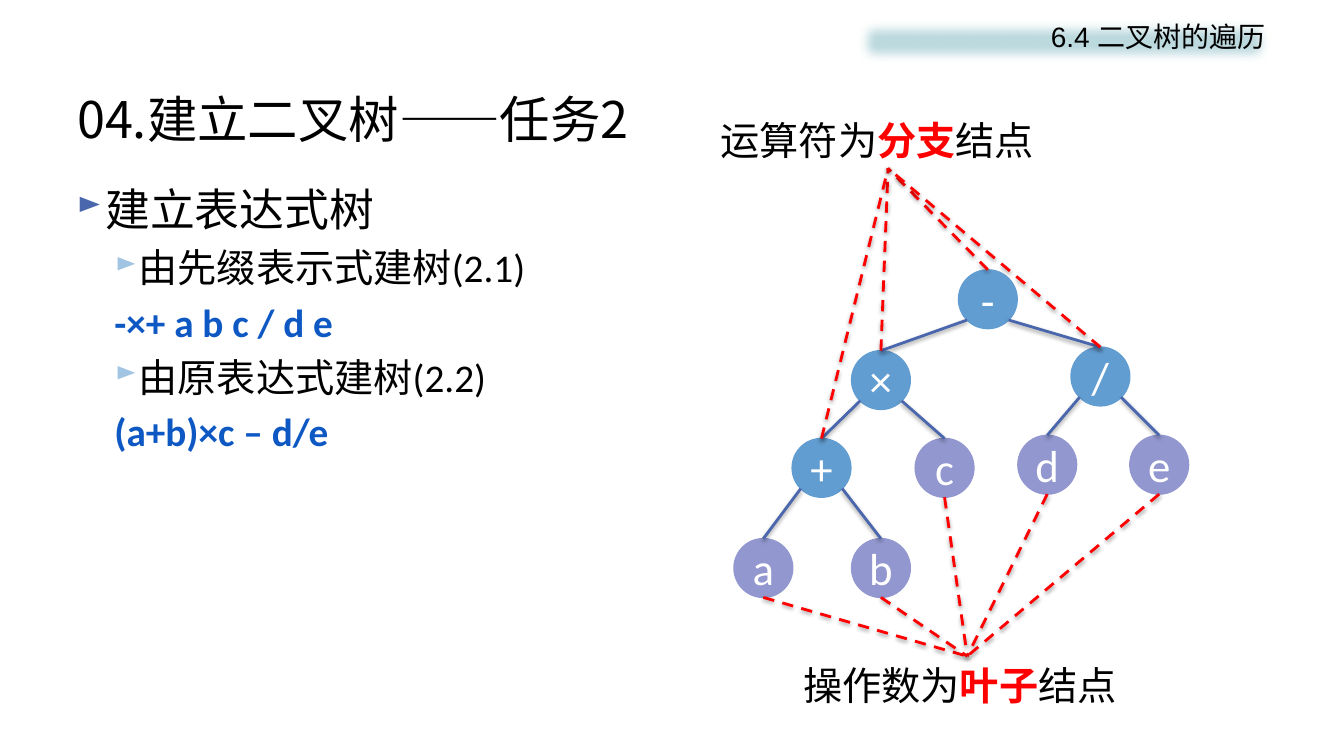
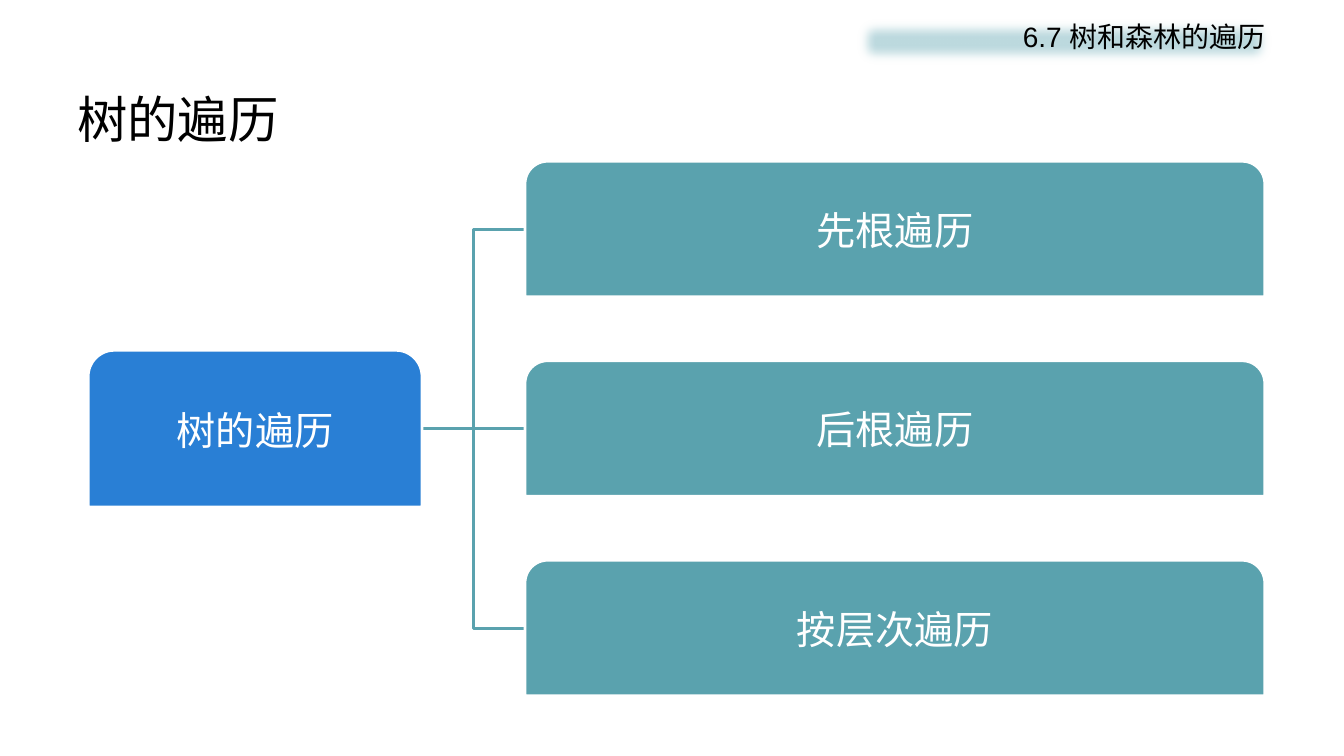
from dataclasses import dataclass
from math import sqrt

from pptx import Presentation
from pptx.dml.color import RGBColor
from pptx.enum.dml import MSO_LINE
from pptx.enum.shapes import MSO_CONNECTOR, MSO_SHAPE
from pptx.enum.text import MSO_ANCHOR, PP_ALIGN
from pptx.oxml.ns import qn
from pptx.util import Inches, Pt
from lxml import etree

STRAIGHT = MSO_CONNECTOR.STRAIGHT
OVAL, RECTANGLE = MSO_SHAPE.OVAL, MSO_SHAPE.RECTANGLE
ROUND_TOP = MSO_SHAPE.ROUND_2_SAME_RECTANGLE
TOP, MIDDLE = MSO_ANCHOR.TOP, MSO_ANCHOR.MIDDLE
LEFT, CENTER, RIGHT = PP_ALIGN.LEFT, PP_ALIGN.CENTER, PP_ALIGN.RIGHT
SITE_TOP, SITE_BOTTOM = 0, 2

# Slide grid
WIDTH, HEIGHT = Inches(13.33), Inches(7.5)
COLUMNS, ROWS = 64, 36


@dataclass(frozen=True)
class Theme:
    black: str = "000000"
    white: str = "FFFFFF"
    red: str = "FF0000"
    formula: str = "0E58C4"
    band: str = "BDDADF"
    operator: str = "629DD1"
    operand: str = "9297CF"
    edge: str = "4A66AC"
    sub_bullet: str = "A1C4E3"
    root: str = "297FD5"
    branch: str = "5AA2AE"
    title_font: str = "Noto Sans CJK SC"
    body_font: str = "Calibri"
    band_font: str = "Arial"
    title_size: int = 36
    large_size: int = 32
    text_size: int = 28
    band_size: int = 20
    line_width: int = 2


THEME = Theme()


@dataclass(frozen=True)
class Area:
    """A rectangle in grid columns and rows."""
    left: float
    top: float
    width: float
    height: float

    @property
    def middle(self) -> float:
        return self.top + self.height / 2

    def emu(self) -> tuple:
        return (across(self.left), down(self.top),
                across(self.width), down(self.height))


@dataclass(frozen=True)
class Span:
    text: str
    color: str = THEME.black
    bold: bool = False


@dataclass(frozen=True)
class Item:
    span: Span
    size: int
    margin: float
    hanging: float = 0
    bullet: str = ""


@dataclass(frozen=True)
class Node:
    column: float
    row: float
    parent: str = ""
    side: int = 0
    operator: bool = False


# Content
TITLE_AREA = Area(3.2, 3.84, 57.6, 3.6)
BAND_AREA = Area(40.6, 0.67, 20.16, 2.6)
BODY_AREA = Area(3.2, 8.4, 28.56, 23.76)
OPERATOR_LABEL = Area(33.84, 5.28, 16.9, 2.74)
OPERAND_LABEL = Area(37.78, 31.25, 16.56, 2.74)
ITEMS = [
    Item(Span("建立表达式树"), THEME.large_size, 0.28, 0.28, THEME.edge),
    Item(Span("由先缀表示式建树(2.1)"), THEME.text_size, 0.61, 0.23, THEME.sub_bullet),
    Item(Span("-×+ a b c / d e", THEME.formula, True), THEME.text_size, 0.37),
    Item(Span("由原表达式建树(2.2)"), THEME.text_size, 0.61, 0.23, THEME.sub_bullet),
    Item(Span("(a+b)×c – d/e", THEME.formula, True), THEME.text_size, 0.37),
]
NODE_SIZE = 2.8
NODES = {
    "a": Node(36.35, 27.05, "+", -1),
    "b": Node(41.95, 27.05, "+", 1),
    "c": Node(44.98, 22.28, "×", 1),
    "d": Node(49.87, 22.13, "/", -1),
    "e": Node(55.2, 22.13, "/", 1),
    "-": Node(47.04, 14.25, operator=True),
    "×": Node(41.95, 18.1, "-", -1, True),
    "+": Node(39.12, 22.28, "×", -1, True),
    "/": Node(52.4, 17.93, "-", 1, True),
}
BRANCHES = ["先根遍历", "后根遍历", "按层次遍历"]
BRANCH_AREA = Area(25, 7.68, 35.23, 6.46)
BRANCH_STEP = 9.58 - 0.08
ROOT_WIDTH, ROOT_HEIGHT = 15.9, 7.46


def across(columns: float) -> int:
    return int(columns * WIDTH / COLUMNS)


def down(rows: float) -> int:
    return int(rows * HEIGHT / ROWS)


def add_effect(shape, tag: str = "", color: str = "", alpha: int = 0, **attributes) -> None:
    """Give the shape one effect, or an empty effect list."""
    effects = etree.SubElement(shape._element.spPr, qn("a:effectLst"))
    if tag:
        effect = etree.SubElement(effects, qn(tag), attributes)
        if color:
            paint = etree.SubElement(effect, qn("a:srgbClr"), val=color)
            etree.SubElement(paint, qn("a:alpha"), val=str(alpha))


def add_span(para, span: Span, font: str, size: int) -> None:
    run = para.add_run()
    run.text = span.text
    run.font.name, run.font.size, run.font.bold = font, Pt(size), span.bold
    run.font.color.rgb = RGBColor.from_string(span.color)
    latin = run.font._element.find(qn("a:latin"))
    latin.addnext(etree.Element(qn("a:ea"), typeface=font))


def write(shape, spans: list, font: str, size: int, anchor=TOP, align=LEFT, wrap: bool = True):
    frame = shape.text_frame
    frame.word_wrap, frame.vertical_anchor = wrap, anchor
    para = frame.paragraphs[0]
    para.alignment = align
    for span in spans:
        add_span(para, span, font, size)
    return para


def add_text(page, area: Area, spans: list, font: str, size: int, anchor=TOP):
    box = page.shapes.add_textbox(*area.emu())
    write(box, spans, font, size, anchor)
    return box


def add_filled(page, kind, area: Area, fill: str, line: str = "", width: float = 1):
    shape = page.shapes.add_shape(kind, *area.emu())
    shape.fill.solid()
    shape.fill.fore_color.rgb = RGBColor.from_string(fill)
    if line:
        style_line(shape, line, width)
    else:
        shape.line.fill.background()
    return shape


def style_line(shape, color: str, width: float = THEME.line_width) -> None:
    shape.line.color.rgb = RGBColor.from_string(color)
    shape.line.width = Pt(width)


def add_line(page, start: tuple, end: tuple, color: str, dashed: bool = False,
             shadow: bool = True):
    line = page.shapes.add_connector(STRAIGHT, across(start[0]), down(start[1]),
                                     across(end[0]), down(end[1]))
    style_line(line, color)
    if dashed:
        line.line.dash_style = MSO_LINE.DASH
    if shadow:
        add_effect(line, "a:outerShdw", THEME.black, 38000, blurRad="40000",
                   dist="20000", dir="5400000", rotWithShape="0")
    else:
        add_effect(line)
    return line


def add_page(deck, title: str, section: str):
    """Blank page with the shared title and blurred section band."""
    page = deck.slides.add_slide(deck.slide_layouts[6])
    add_text(page, TITLE_AREA, [Span(title)], THEME.title_font, THEME.title_size, MIDDLE)
    band = add_filled(page, RECTANGLE, BAND_AREA, THEME.band)
    add_effect(band, "a:softEdge", rad="112500")
    write(band, [Span(section)], THEME.band_font, THEME.band_size, TOP, RIGHT)
    return page


def add_items(page) -> None:
    frame = page.shapes.add_textbox(*BODY_AREA.emu()).text_frame
    frame.word_wrap = True
    for index, item in enumerate(ITEMS):
        para = frame.add_paragraph() if index else frame.paragraphs[0]
        if index:
            para.space_before = Pt(0.2 * item.size)
        properties = para._p.get_or_add_pPr()
        properties.set("marL", str(Inches(item.margin)))
        properties.set("indent", str(-Inches(item.hanging)))
        if item.bullet:
            color = etree.SubElement(properties, qn("a:buClr"))
            etree.SubElement(color, qn("a:srgbClr"), val=item.bullet)
            etree.SubElement(properties, qn("a:buSzPct"), val="70000")
            etree.SubElement(properties, qn("a:buChar"), char="►")
        add_span(para, item.span, THEME.body_font, item.size)


def add_tree(page) -> None:
    radius = NODE_SIZE / 2
    # Nodes
    circles = {}
    for name, node in NODES.items():
        color = THEME.operator if node.operator else THEME.operand
        area = Area(node.column - radius, node.row - radius, NODE_SIZE, NODE_SIZE)
        circle = add_filled(page, OVAL, area, color, color)
        circle.shadow.inherit = False
        write(circle, [Span(name, THEME.white)], THEME.body_font, THEME.large_size,
              MIDDLE, CENTER, False)
        circles[name] = circle
    # Edges leave the parent at 45 degrees
    offset = radius / sqrt(2)
    for name, node in NODES.items():
        if node.parent:
            parent = NODES[node.parent]
            start = (parent.column + node.side * offset, parent.row + offset)
            edge = add_line(page, start, (node.column, node.row - radius), THEME.edge)
            edge.end_connect(circles[name], SITE_TOP)
    # Labels and their dashed pointers
    labels = {}
    for operator, area, words in (
            (False, OPERAND_LABEL, ("操作数为", "叶子", "结点")),
            (True, OPERATOR_LABEL, ("运算符为", "分支", "结点"))):
        before, key, after = words
        spans = [Span(before), Span(key, THEME.red, True), Span(after)]
        labels[operator] = add_text(page, area, spans, THEME.body_font, THEME.text_size)
    for name, node in NODES.items():
        reach = -radius if node.operator else radius
        tip = (node.column, node.row + reach)
        pointer = add_line(page, tip, tip, THEME.red, True)
        pointer.end_connect(labels[node.operator],
                            SITE_BOTTOM if node.operator else SITE_TOP)
        if node.operator:
            pointer.begin_connect(circles[name], SITE_TOP)


def add_block(page, area: Area, text: str, fill: str) -> None:
    block = add_filled(page, ROUND_TOP, area, fill, THEME.white, THEME.line_width)
    block.shadow.inherit = False
    para = write(block, [Span(text, THEME.white)], THEME.band_font, THEME.text_size,
                 MIDDLE, CENTER)
    para.line_spacing = 0.9
    block.text_frame.margin_top = block.text_frame.margin_bottom = Inches(0.02)


def add_hierarchy(page) -> None:
    areas = [Area(BRANCH_AREA.left, BRANCH_AREA.top + index * BRANCH_STEP,
                  BRANCH_AREA.width, BRANCH_AREA.height) for index in range(len(BRANCHES))]
    center = areas[len(areas) // 2].middle
    root = Area(4.2, center - ROOT_HEIGHT / 2, ROOT_WIDTH, ROOT_HEIGHT)
    start, end = root.left + root.width, BRANCH_AREA.left
    bend = (start + end) / 2
    # Links
    for area in areas:
        if area.middle == center:
            add_line(page, (start, center), (end, center), THEME.branch, shadow=False)
            continue
        outline = page.shapes.build_freeform(across(start), down(center))
        outline.add_line_segments([(across(column), down(row)) for column, row in (
            (bend, center), (bend, area.middle), (end, area.middle))], close=False)
        link = outline.convert_to_shape()
        link.fill.background()
        style_line(link, THEME.branch)
        link.shadow.inherit = False
    # Blocks
    add_block(page, root, "树的遍历", THEME.root)
    for area, text in zip(areas, BRANCHES):
        add_block(page, area, text, THEME.branch)


def main() -> None:
    deck = Presentation()
    deck.slide_width, deck.slide_height = WIDTH, HEIGHT
    page = add_page(deck, "04.建立二叉树——任务2", "6.4 二叉树的遍历")
    add_items(page)
    add_tree(page)
    add_hierarchy(add_page(deck, "树的遍历", "6.7 树和森林的遍历"))
    deck.save("out.pptx")


if __name__ == "__main__":
    main()
